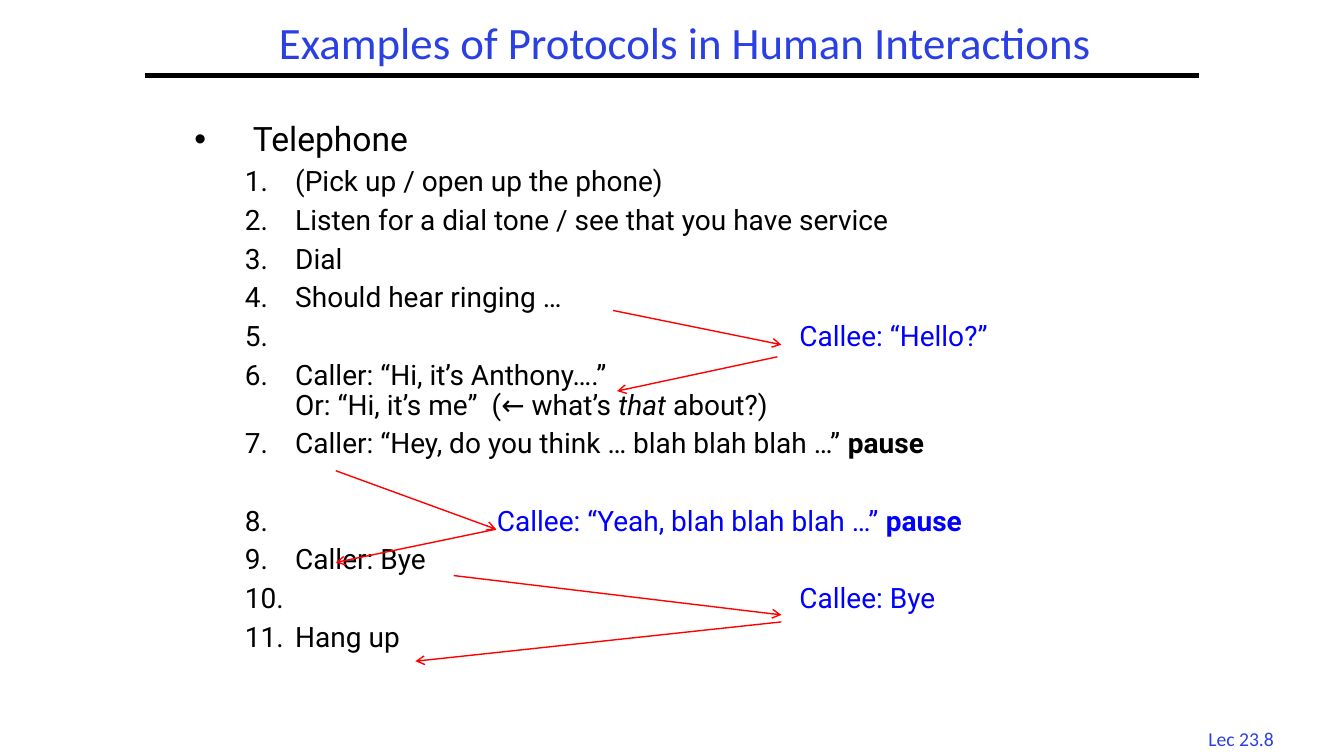
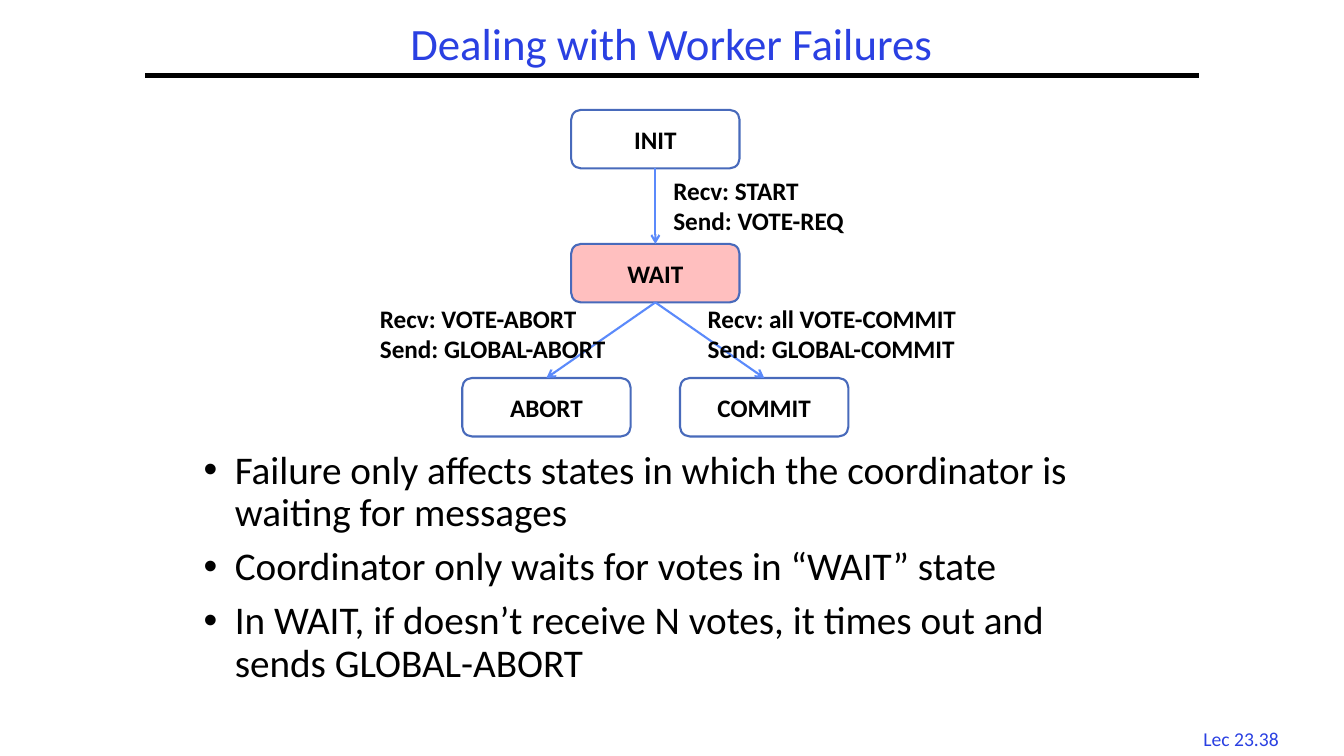
from pptx import Presentation
from pptx.dml.color import RGBColor
from pptx.enum.shapes import MSO_CONNECTOR as Connector, MSO_SHAPE as Shape
from pptx.enum.text import MSO_ANCHOR as Anchor, MSO_AUTO_SIZE as AutoSize, PP_ALIGN as Align
from pptx.oxml.ns import qn
from pptx.util import Inches, Pt
from lxml.etree import SubElement

COLORS = {
    "heading": "2A40E2", "ink": "000000", "callee": "0000FF", "message": "FF0000",
    "state": "486ABB", "transition": "5B8AFB", "waiting": "FF0000",
}
TITLE_ONLY = 5
BOTTOM, TOP = 2, 0


def rgb(name):
    return RGBColor.from_string(COLORS[name])


def write(paragraph, text, size=18, color="ink", font="Calibri", bold=False, italic=False):
    """Append formatted text; a newline becomes a line break."""
    for number, line in enumerate(text.split("\n")):
        if number:
            paragraph.add_line_break()
        run = paragraph.add_run()
        run.text = line
        run.font.name, run.font.size = font, Pt(size)
        run.font.bold, run.font.italic = bold, italic
        run.font.color.rgb = rgb(color)


class Deck:
    """Shared style and the current slide."""

    def __init__(self):
        self.prs = Presentation()
        self.prs.slide_width, self.prs.slide_height = Inches(13.33), Inches(7.5)
        self.slide = None

    def new_slide(self, title, box, page):
        self.slide = self.prs.slides.add_slide(self.prs.slide_layouts[TITLE_ONLY])
        heading = self.slide.shapes.title
        heading.left, heading.top, heading.width, heading.height = map(Inches, box)
        frame = heading.text_frame
        frame.auto_size, frame.vertical_anchor = AutoSize.NONE, Anchor.MIDDLE
        paragraph = frame.paragraphs[0]
        paragraph.alignment, paragraph.line_spacing = Align.CENTER, 0.9
        write(paragraph, title, size=32, color="heading")
        self.line((1.44, 0.75), (11.89, 0.75), "ink", 3)
        footer = self.text_box((11.77, 7.16, 1.08, 0.33), wrap=False)
        footer.paragraphs[0].alignment = Align.CENTER
        write(footer.paragraphs[0], f"Lec 23.{page}", size=14, color="heading")

    def text_box(self, box, wrap=True):
        frame = self.slide.shapes.add_textbox(*map(Inches, box)).text_frame
        frame.word_wrap = wrap
        return frame

    def line(self, start, end, color, width, arrow=False):
        link = self.slide.shapes.add_connector(
            Connector.STRAIGHT, *map(Inches, (*start, *end)))
        link.line.color.rgb, link.line.width = rgb(color), Pt(width)
        if arrow:
            SubElement(link.line._get_or_add_ln(), qn("a:tailEnd"), type="arrow")
        SubElement(link._element.spPr, qn("a:effectLst"))
        return link

    def list_item(self, frame, spans, size, margin, hanging,
                  font="Calibri", numbered=False, gap=0):
        """Add a bulleted or numbered item made of (text, format) spans."""
        first = not frame.paragraphs[0].runs
        paragraph = frame.paragraphs[0] if first else frame.add_paragraph()
        props = paragraph._p.get_or_add_pPr()
        props.set("marL", str(Inches(margin)))
        props.set("indent", str(-Inches(hanging)))
        props.set("defTabSz", str(Inches(1)))
        if numbered:
            paragraph.level = 1
            SubElement(props, qn("a:buFont"), typeface="+mj-lt")
            SubElement(props, qn("a:buAutoNum"), type="arabicPeriod")
        else:
            SubElement(props, qn("a:buFont"), typeface="Arial")
            SubElement(props, qn("a:buChar"), char="•")
        paragraph.line_spacing = 0.9
        paragraph.space_before = Pt(0 if first else round(0.3 * size + gap, 1))
        for text, style in spans:
            write(paragraph, text, size=size, font=font, **style)

    def state(self, name, center, top, waiting=False):
        width, height = 1.67, 0.58
        box = self.slide.shapes.add_shape(
            Shape.ROUNDED_RECTANGLE, Inches(center - width / 2), Inches(top),
            Inches(width), Inches(height))
        box.shadow.inherit = False
        box.line.color.rgb, box.line.width = rgb("state"), Pt(1.5)
        if waiting:
            box.fill.solid()
            box.fill.fore_color.rgb = rgb("waiting")
            tint = box._element.spPr.find(qn("a:solidFill"))[0]
            SubElement(tint, qn("a:alpha"), val="25000")
        else:
            box.fill.background()
        frame = box.text_frame
        frame.margin_left = frame.margin_right = frame.margin_top = frame.margin_bottom = 0
        frame.vertical_anchor = Anchor.MIDDLE
        frame.paragraphs[0].alignment = Align.CENTER
        write(frame.paragraphs[0], name, bold=True)
        return box

    def transition(self, source, target):
        link = self.line((0, 0), (1, 1), "transition", 1.5, arrow=True)
        link.begin_connect(source, BOTTOM)
        link.end_connect(target, TOP)

    def transition_label(self, received, sent, left, top, width):
        frame = self.text_box((left, top, width, 0.71))
        write(frame.paragraphs[0], f"Recv: {received}", bold=True)
        write(frame.add_paragraph(), f"Send: {sent}", bold=True)


def telephone_slide(deck):
    deck.new_slide("Examples of Protocols in Human Interactions", (2.17, 0.06, 9.25, 0.78), 8)

    # Steps of the call; tabs move the callee's lines to the right
    plain, callee = {}, {"color": "callee"}
    steps = [
        [("(Pick up / open up the phone)", plain)],
        [("Listen for a dial tone / see that you have service", plain)],
        [("Dial", plain)],
        [("Should hear ringing …", plain)],
        [("\t" * 5, plain), ("Callee: “Hello?”", callee)],
        [("Caller: “Hi, it’s Anthony….”\nOr: “Hi, it’s me”  (← what’s ", plain),
         ("that", {"italic": True}), (" about?)", plain)],
        [("Caller: “Hey, do you think … blah blah blah …” ", plain), ("pause", {"bold": True})],
        [("\t" * 2, plain), ("Callee: “Yeah, blah blah blah …” ", callee),
         ("pause", {"color": "callee", "bold": True})],
        [("Caller: Bye", plain)],
        [("\t" * 5, plain), ("Callee: Bye", callee)],
        [("Hang up", plain)],
    ]
    reply_step = 8
    call = deck.text_box((1.83, 1.17, 9, 5.75))
    deck.list_item(call, [("Telephone", plain)], 24, 0.58, 0.58, font="Roboto")
    for number, spans in enumerate(steps, 1):
        deck.list_item(call, spans, 20, 1, 0.5, font="Roboto", numbered=True,
                       gap=27.5 if number == reply_step else 0)

    # Messages between caller and callee
    for start, end in [
        ((6.08, 3.08), (7.75, 3.42)), ((7.71, 3.54), (6.12, 3.88)),
        ((3.33, 4.67), (4.92, 5.25)), ((4.92, 5.25), (3.33, 5.58)),
        ((4.5, 5.71), (7.75, 6.1)), ((7.75, 6.17), (4.12, 6.56)),
    ]:
        deck.line(start, end, "message", 1, arrow=True)


def failures_slide(deck):
    deck.new_slide("Dealing with Worker Failures", (1.44, 0.17, 10.44, 0.58), 38)

    # Consequences
    consequences = deck.text_box((1.92, 4.42, 9.25, 2.58))
    for text in (
        "Failure only affects states in which the coordinator is waiting for messages",
        "Coordinator only waits for votes in “WAIT” state",
        "In WAIT, if doesn’t receive N votes, it times out and sends GLOBAL-ABORT",
    ):
        deck.list_item(consequences, [(text, {})], 28, 0.31, 0.31)

    # Coordinator's state machine
    axis, spread = 6.5, 1.08
    first_row, second_row, third_row = (1.09 + 1.33 * row for row in range(3))
    init = deck.state("INIT", axis, first_row)
    wait = deck.state("WAIT", axis, second_row, waiting=True)
    abort = deck.state("ABORT", axis - spread, third_row)
    commit = deck.state("COMMIT", axis + spread, third_row)
    for source, target in ((init, wait), (wait, abort), (wait, commit)):
        deck.transition(source, target)
    deck.transition_label("START", "VOTE-REQ", 6.58, 1.69, 2.5)
    deck.transition_label("VOTE-ABORT", "GLOBAL-ABORT", 3.67, 2.96, 2.5)
    deck.transition_label("all VOTE-COMMIT", "GLOBAL-COMMIT", 6.92, 2.96, 2.75)


def main():
    deck = Deck()
    telephone_slide(deck)
    failures_slide(deck)
    deck.prs.save("out.pptx")


if __name__ == "__main__":
    main()
